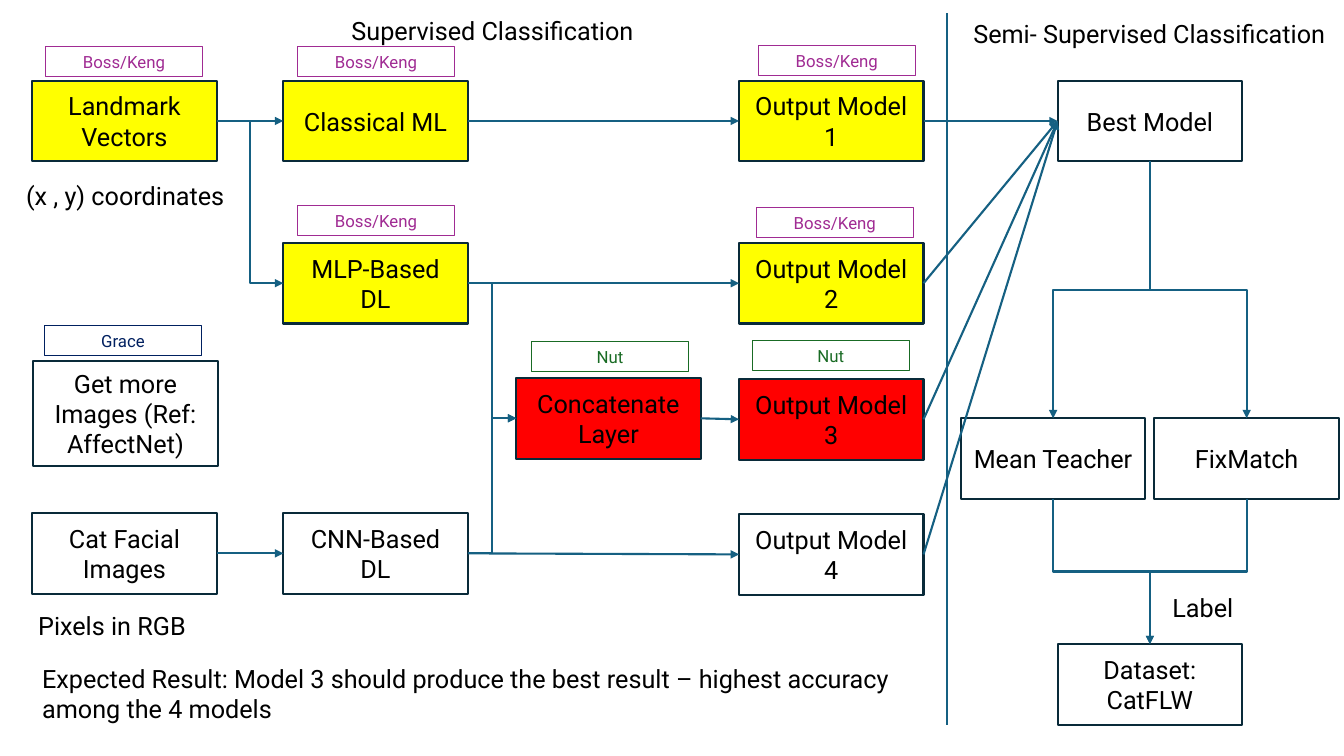
from dataclasses import dataclass
from lxml.etree import SubElement
from pptx import Presentation
from pptx.dml.color import RGBColor
from pptx.enum.shapes import MSO_CONNECTOR, MSO_SHAPE
from pptx.enum.text import MSO_ANCHOR, MSO_AUTO_SIZE, PP_ALIGN
from pptx.oxml.ns import qn
from pptx.util import Inches, Pt


@dataclass(frozen=True)
class Theme:
    font: str = "Roboto"
    ink: str = "000000"
    edge: str = "092A39"
    wire: str = "156082"
    done: str = "FFFF00"
    risk: str = "FF0000"
    plum: str = "A02B93"
    green: str = "196B24"
    navy: str = "002060"
    body: int = 18
    small: int = 12
    bold: float = 1.5
    thin: float = 0.75


theme = Theme()
TOP, LEFT, FOOT, RIGHT = range(4)
WIDE, HIGH = 1.83, 0.8


def put(item, values):
    for name, value in values.items():
        setattr(item, name, value)


def color(code):
    return RGBColor.from_string(code)


def place(box, left, top, wide, high):
    return [Inches(n) for n in (box[0] + left, box[1] + top, wide, high)]


def write(shape, text, size=theme.body, ink=theme.ink,
          align=PP_ALIGN.CENTER, anchor=MSO_ANCHOR.MIDDLE):
    frame = shape.text_frame
    put(frame, {"text": text, "word_wrap": True, "vertical_anchor": anchor,
                "auto_size": MSO_AUTO_SIZE.NONE,
                "margin_left": Inches(0.1), "margin_right": Inches(0.1),
                "margin_top": Inches(0.05), "margin_bottom": Inches(0.05)})
    line = frame.paragraphs[0]
    line.alignment = align
    font = line.runs[0].font
    put(font, {"name": theme.font, "size": Pt(size)})
    font.color.rgb = color(ink)


def block(slide, spot, text, fill=None, edge=theme.edge, weight=theme.bold, **style):
    shape = slide.shapes.add_shape(MSO_SHAPE.RECTANGLE, *spot)
    shape.shadow.inherit = False
    if fill:
        shape.fill.solid()
        shape.fill.fore_color.rgb = color(fill)
    else:
        shape.fill.background()
    shape.line.color.rgb = color(edge)
    shape.line.width = Pt(weight)
    write(shape, text, **style)
    return shape


def tag(slide, spot, text, ink):
    block(slide, spot, text, edge=ink, weight=theme.thin, size=theme.small, ink=ink)


def note(slide, spot, text, align=PP_ALIGN.LEFT):
    shape = slide.shapes.add_textbox(*spot)
    write(shape, text, align=align, anchor=MSO_ANCHOR.TOP)


def draw(slide, kind, ends, arrow=True):
    link = slide.shapes.add_connector(kind, *ends)
    link.line.color.rgb = color(theme.wire)
    link.line.width = Pt(theme.bold)
    if arrow:
        SubElement(link.line._get_or_add_ln(), qn("a:tailEnd"), type="triangle")
    SubElement(link._element.spPr, qn("a:effectLst"))
    return link


def across(slide, start, end, kind=MSO_CONNECTOR.STRAIGHT):
    ends = (start.left + start.width, start.top + start.height // 2,
            end.left, end.top + end.height // 2)
    link = draw(slide, kind, ends)
    link.begin_connect(start, RIGHT)
    link.end_connect(end, LEFT)


def down(slide, start, end):
    x1, y1 = start.left + start.width // 2, start.top + start.height
    x2, y2 = end.left + end.width // 2, end.top
    midx, midy = (x1 + x2) // 2, (y1 + y2) // 2
    side = 1 if x2 > x1 else -1
    run, rise = side * (y2 - y1) // 2, abs(x2 - x1) // 2
    ends = (midx + run, midy - rise, midx - run, midy + rise)
    link = draw(slide, MSO_CONNECTOR.ELBOW, ends)
    turn = 270 if side > 0 else 90
    link._element.spPr.find(qn("a:xfrm")).set("rot", str(turn * 60000))


def left_part(slide, box):
    title = slide.shapes.title
    put(title, dict(zip(("left", "top", "width", "height"),
                        place(box, 3.19, 0.1, 3.39, 0.4))))
    write(title, "Supervised Classification", anchor=MSO_ANCHOR.TOP)

    cells = {
        "marks": (0.32, 0.8, "Landmark Vectors", theme.done),
        "cats": (0.32, 5.09, "Cat Facial Images", None),
        "ml": (2.81, 0.8, "Classical ML", theme.done),
        "mlp": (2.81, 2.41, "MLP-Based DL", theme.done),
        "cnn": (2.81, 5.09, "CNN-Based DL", None),
        "join": (5.12, 3.75, "Concatenate Layer", theme.risk),
    }
    rows = ((0.8, theme.done), (2.41, theme.done), (3.76, theme.risk), (5.1, None))
    for num, (top, fill) in enumerate(rows, 1):
        cells[num] = (7.33, top, f"Output Model {num}", fill)
    nodes = {key: block(slide, place(box, x, y, WIDE, HIGH), text, fill)
             for key, (x, y, text, fill) in cells.items()}
    block(slide, place(box, 0.33, 3.58, WIDE, 1.04), "Get more Images (Ref: AffectNet)")

    for start, end in (("marks", "ml"), ("cats", "cnn"), ("ml", 1),
                       ("mlp", 2), ("join", 3), ("cnn", 4)):
        across(slide, nodes[start], nodes[end])
    for start, end in (("marks", "mlp"), ("mlp", "join"), ("cnn", "join")):
        across(slide, nodes[start], nodes[end], MSO_CONNECTOR.ELBOW)

    names = (
        ("Boss/Keng", theme.plum, ((0.45, 0.46), (2.95, 0.46), (2.95, 2.04),
                                   (7.52, 0.45), (7.5, 2.06))),
        ("Nut", theme.green, ((5.27, 3.39), (7.46, 3.38))),
        ("Grace", theme.navy, ((0.44, 3.23),)),
    )
    for name, ink, spots in names:
        for x, y in spots:
            tag(slide, place(box, x, y, 1.56, 0.3), name, ink)

    note(slide, place(box, 0.16, 1.74, 2.23, 0.4), "(x , y) coordinates")
    note(slide, place(box, 0.28, 6.01, 1.91, 0.4), "Pixels in RGB")
    note(slide, place(box, 0.32, 6.53, 8.85, 0.71),
         "Expected Result: Model 3 should produce the best result – "
         "highest accuracy among the 4 models")
    return [nodes[num] for num in range(1, 5)]


def right_part(slide, box, models):
    x, y = box
    draw(slide, MSO_CONNECTOR.STRAIGHT,
         [Inches(n) for n in (x, y + 0.13, x, y + 7.19)], arrow=False)
    note(slide, place(box, 0.08, 0.13, 3.86, 0.4),
         "Semi- Supervised Classification", PP_ALIGN.CENTER)
    cells = ((1.1, 0.8, "Best Model"), (0.14, 4.15, "Mean Teacher"),
             (2.06, 4.15, "FixMatch"), (1.1, 6.39, "Dataset: CatFLW"))
    best, mean, fix, data = [block(slide, place(box, left, top, WIDE, HIGH), text)
                             for left, top, text in cells]
    for model in models:
        across(slide, model, best)
    for method in (mean, fix):
        down(slide, best, method)
        down(slide, method, data)
    note(slide, place(box, 2.14, 5.83, 1.35, 0.4), "Label")


def main():
    deck = Presentation()
    put(deck, {"slide_width": Inches(13.33), "slide_height": Inches(7.5)})
    slide = deck.slides.add_slide(deck.slide_layouts[5])
    models = left_part(slide, (0, 0))
    right_part(slide, (9.39, 0), models)
    deck.save("out.pptx")


if __name__ == "__main__":
    main()
